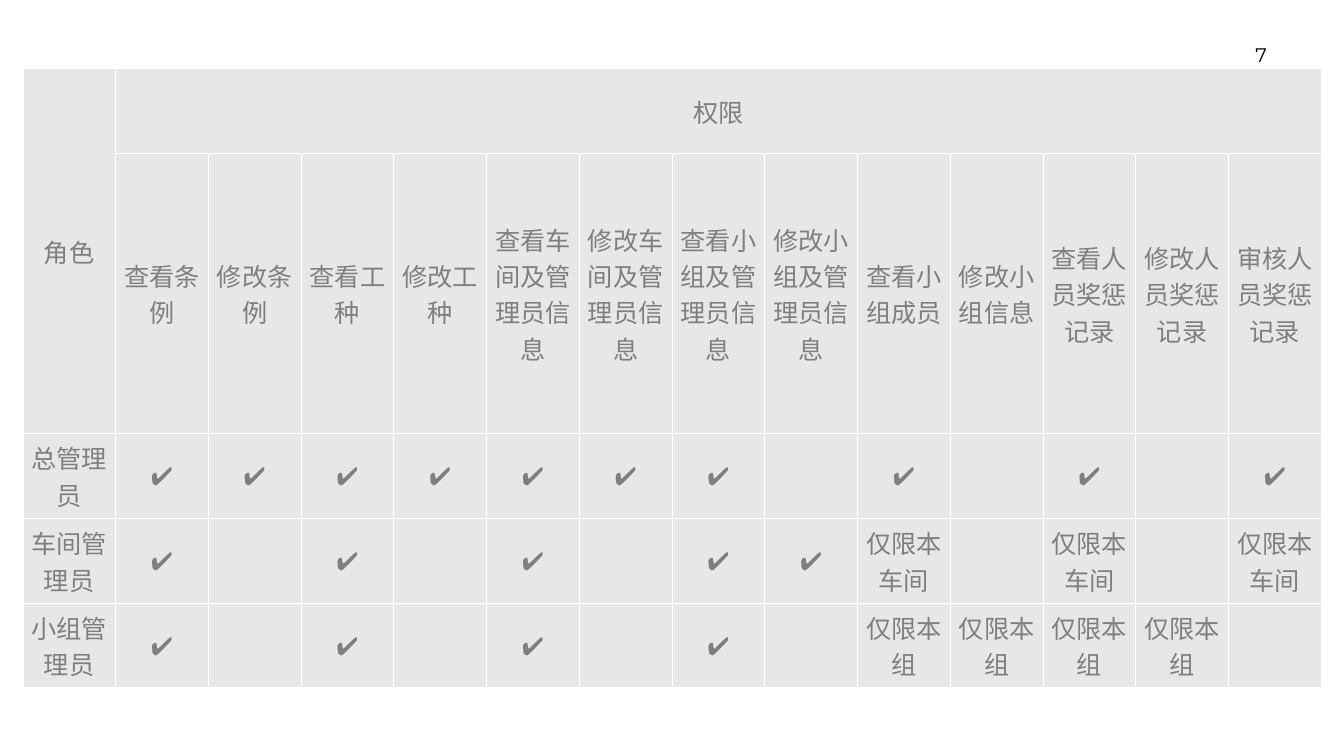
from lxml import etree
from pptx import Presentation
from pptx.dml.color import RGBColor
from pptx.enum.text import MSO_ANCHOR, PP_ALIGN
from pptx.oxml.ns import qn
from pptx.util import Cm, Pt

CENTER = PP_ALIGN.CENTER
MIDDLE = MSO_ANCHOR.MIDDLE
BLACK = RGBColor(0x00, 0x00, 0x00)
GRAY = RGBColor(0x7F, 0x7F, 0x7F)
LIGHT_GRAY = RGBColor(0xE7, 0xE7, 0xE7)
WHITE = RGBColor(0xFF, 0xFF, 0xFF)

PAGE_NUMBER = "7"
ROLE_HEADING = "角色"
PERMISSION_HEADING = "权限"
PERMISSIONS = [
    "查看条例", "修改条例", "查看工种", "修改工种",
    "查看车间及管理员信息", "修改车间及管理员信息",
    "查看小组及管理员信息", "修改小组及管理员信息",
    "查看小组成员", "修改小组信息",
    "查看人员奖惩记录", "修改人员奖惩记录", "审核人员奖惩记录",
]
YES = "✔️"
NO = ""
WORKSHOP = "仅限本车间"
GROUP = "仅限本组"
ROLES = [
    ["总管理员", YES, YES, YES, YES, YES, YES, YES, NO, YES, NO, YES, NO, YES],
    ["车间管理员", YES, NO, YES, NO, YES, NO, YES, YES, WORKSHOP, NO, WORKSHOP, NO, WORKSHOP],
    ["小组管理员", YES, NO, YES, NO, YES, NO, YES, NO, GROUP, GROUP, GROUP, GROUP, NO],
]

TABLE_LEFT, TABLE_TOP, TABLE_WIDTH = Cm(1.15), Cm(3.46), Cm(65.43)
ROW_HEIGHT, LABEL_ROW_HEIGHT = Cm(4.27), Cm(14.12)
CELL_MARGIN = Cm(0.03)


def write_text(frame, text, font="Lato", size=36, color=GRAY):
    paragraph = frame.paragraphs[0]
    paragraph.alignment = CENTER
    paragraph.font.size = Pt(size)
    if text:
        run = paragraph.add_run()
        run.text = text
        run.font.name = font
        run.font.size = Pt(size)
        run.font.color.rgb = color


def add_borders(cell, color=WHITE, width=Pt(1)):
    properties = cell._tc.get_or_add_tcPr()
    for side in ("a:lnL", "a:lnR", "a:lnT", "a:lnB"):
        line = etree.SubElement(properties, qn(side), w=str(int(width)))
        fill = etree.SubElement(line, qn("a:solidFill"))
        etree.SubElement(fill, qn("a:srgbClr"), val=str(color))


def format_cell(cell, text):
    add_borders(cell)
    cell.fill.solid()
    cell.fill.fore_color.rgb = LIGHT_GRAY
    cell.vertical_anchor = MIDDLE
    cell.margin_left = cell.margin_right = cell.margin_top = CELL_MARGIN
    cell.margin_bottom = 0
    write_text(cell.text_frame, text)


def add_permission_table(slide):
    rows = [
        [ROLE_HEADING, PERMISSION_HEADING] + [""] * (len(PERMISSIONS) - 1),
        [""] + PERMISSIONS,
        *ROLES,
    ]
    heights = [ROW_HEIGHT, LABEL_ROW_HEIGHT] + [ROW_HEIGHT] * len(ROLES)
    column_count = len(rows[0])
    table = slide.shapes.add_table(
        len(rows), column_count, TABLE_LEFT, TABLE_TOP, TABLE_WIDTH, sum(heights)
    ).table
    table.first_row = False
    table.horz_banding = False
    for column in table.columns:
        column.width = TABLE_WIDTH // column_count
    for row, height, texts in zip(table.rows, heights, rows):
        row.height = height
        for cell, text in zip(row.cells, texts):
            format_cell(cell, text)
    table.cell(0, 0).merge(table.cell(1, 0))
    table.cell(0, 1).merge(table.cell(0, column_count - 1))


def add_page_number(slide):
    shape = slide.shapes.add_textbox(Cm(62.13), Cm(1.93), Cm(2.84), Cm(1.7))
    frame = shape.text_frame
    frame.word_wrap = False
    frame.margin_left = frame.margin_right = Cm(0.5)
    frame.margin_top = frame.margin_bottom = Cm(0.25)
    write_text(frame, PAGE_NUMBER, font="Montserrat", size=28, color=BLACK)


def main():
    presentation = Presentation()
    presentation.slide_width = Cm(67.72)
    presentation.slide_height = Cm(38.1)
    slide = presentation.slides.add_slide(presentation.slide_layouts[6])
    add_page_number(slide)
    add_permission_table(slide)
    presentation.save("out.pptx")


if __name__ == "__main__":
    main()
